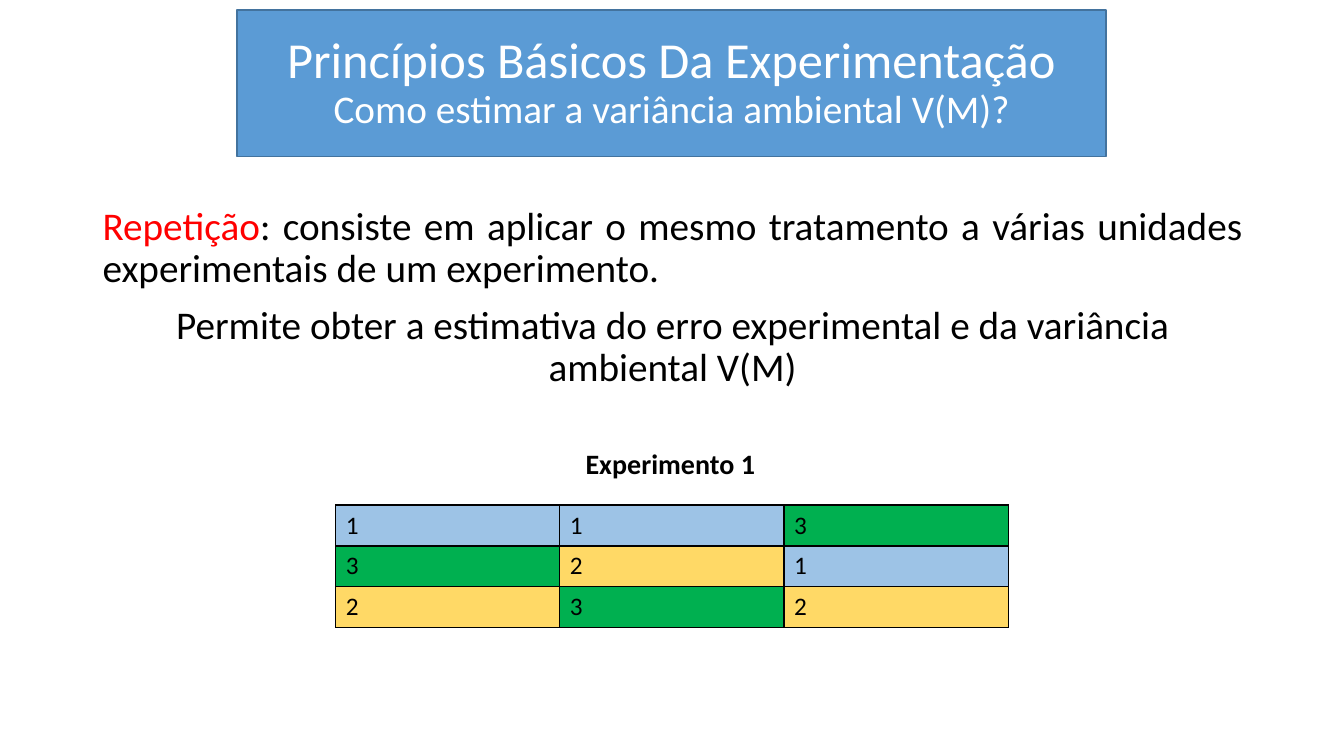
import pptx
import pptx.util
import pptx.dml.color
import pptx.enum.text
import pptx.oxml
import pptx.oxml.ns
from pptx.util import Inches

RGBColor = pptx.dml.color.RGBColor
Align = pptx.enum.text.PP_ALIGN
WHITE = RGBColor(0xFF, 0xFF, 0xFF)
BLACK = RGBColor(0, 0, 0)
RED = RGBColor(0xFF, 0, 0)
BLUE = RGBColor(0x5B, 0x9B, 0xD5)
DARK_BLUE = RGBColor(0x43, 0x73, 0x9E)
TREATMENT_FILLS = {
    "1": RGBColor(0x9D, 0xC3, 0xE6),
    "2": RGBColor(0xFF, 0xD9, 0x66),
    "3": RGBColor(0, 0xB0, 0x50),
}


def add_span(para, text, size, color, bold=False):
    span = para.add_run()
    span.text = text
    span.font.name = "Calibri"
    span.font.size = pptx.util.Pt(size)
    span.font.color.rgb = color
    span.font.bold = bold


def add_border(cell, side):
    cell._tc.get_or_add_tcPr().append(pptx.oxml.parse_xml(
        f'<a:{side} {pptx.oxml.ns.nsdecls("a")} w="12700"><a:solidFill>'
        f'<a:srgbClr val="{BLACK}"/></a:solidFill></a:{side}>'))


deck = pptx.Presentation()
deck.slide_width = Inches(13.33)
deck.slide_height = Inches(7.5)
page = deck.slides.add_slide(deck.slide_layouts[5])

title = page.shapes.title
title.left, title.top = Inches(2.35), Inches(0.1)
title.width, title.height = Inches(8.62), Inches(1.45)
title.fill.solid()
title.fill.fore_color.rgb = BLUE
title.line.color.rgb = DARK_BLUE
title.line.width = pptx.util.Pt(1)
title.text_frame.auto_size = pptx.enum.text.MSO_AUTO_SIZE.NONE
title.text_frame.vertical_anchor = pptx.enum.text.MSO_ANCHOR.MIDDLE
para = title.text_frame.paragraphs[0]
para.alignment = Align.CENTER
para.line_spacing = 0.9
add_span(para, "Princípios Básicos Da Experimentação", 36, WHITE)
para.add_line_break()
add_span(para, "Como estimar a variância ambiental V(M)?", 28, WHITE)

body = page.shapes.add_textbox(Inches(0.92), Inches(2), Inches(11.5), Inches(4.76))
body.text_frame.word_wrap = True
definition = body.text_frame.paragraphs[0]
definition.alignment = Align.JUSTIFY
definition.line_spacing = 0.9
add_span(definition, "Repetição", 28, RED)
add_span(definition, ": consiste em aplicar o mesmo tratamento a várias unidades "
         "experimentais de um experimento.", 28, BLACK)
purpose = body.text_frame.add_paragraph()
purpose.alignment = Align.CENTER
purpose.line_spacing = 0.9
purpose.space_before = pptx.util.Pt(10)
add_span(purpose, "Permite obter a estimativa do erro experimental e da variância "
         "ambiental V(M)", 28, BLACK)

plots = ["113", "321", "232"]
table = page.shapes.add_table(3, 3, Inches(3.33), Inches(5.01),
                              Inches(6.67), Inches(1.22)).table
table.first_row = False
table.horz_banding = False
for row, treatments in enumerate(plots):
    for column, treatment in enumerate(treatments):
        cell = table.cell(row, column)
        for side in ("lnL", "lnR", "lnT", "lnB"):
            add_border(cell, side)
        cell.fill.solid()
        cell.fill.fore_color.rgb = TREATMENT_FILLS[treatment]
        add_span(cell.text_frame.paragraphs[0], treatment, 18, BLACK)

caption = page.shapes.add_textbox(Inches(5.71), Inches(4.38), Inches(1.9), Inches(0.44))
caption.text_frame.word_wrap = False
caption.text_frame.auto_size = pptx.enum.text.MSO_AUTO_SIZE.SHAPE_TO_FIT_TEXT
add_span(caption.text_frame.paragraphs[0], "Experimento 1", 20, BLACK, bold=True)

deck.save("out.pptx")
